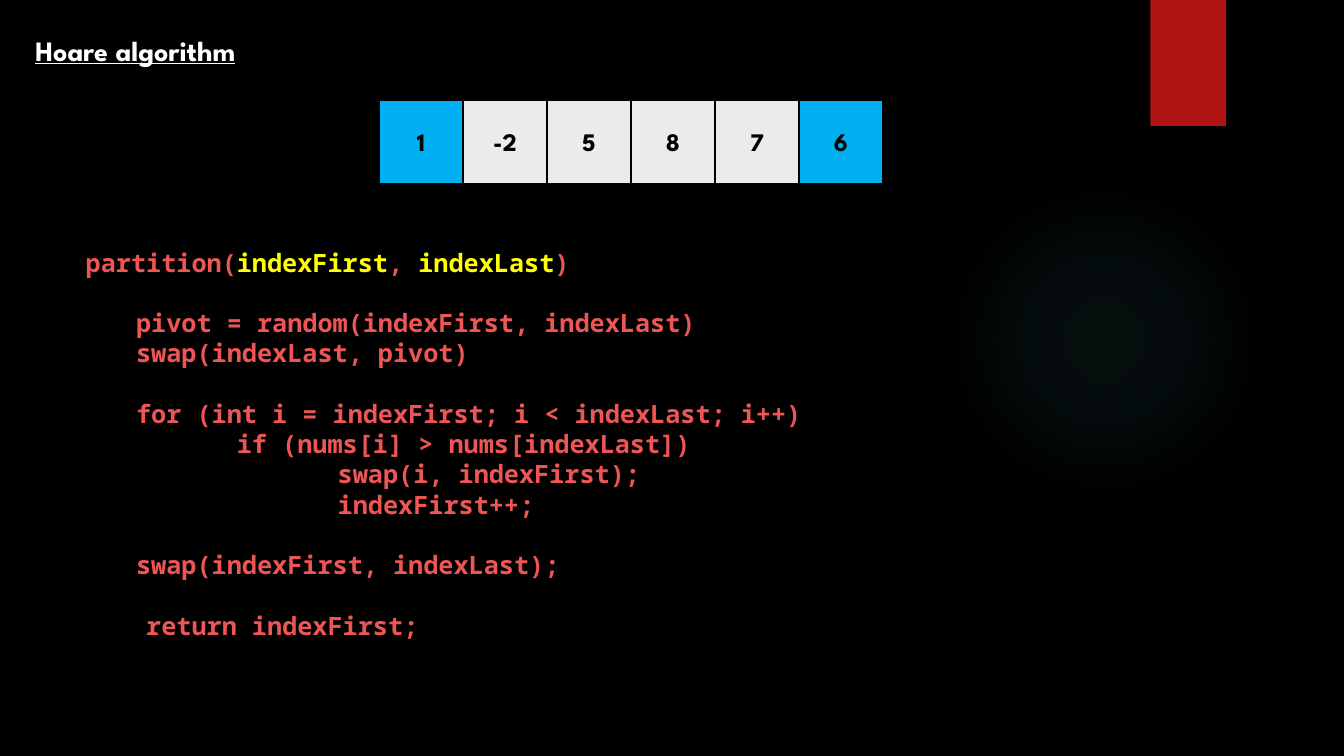
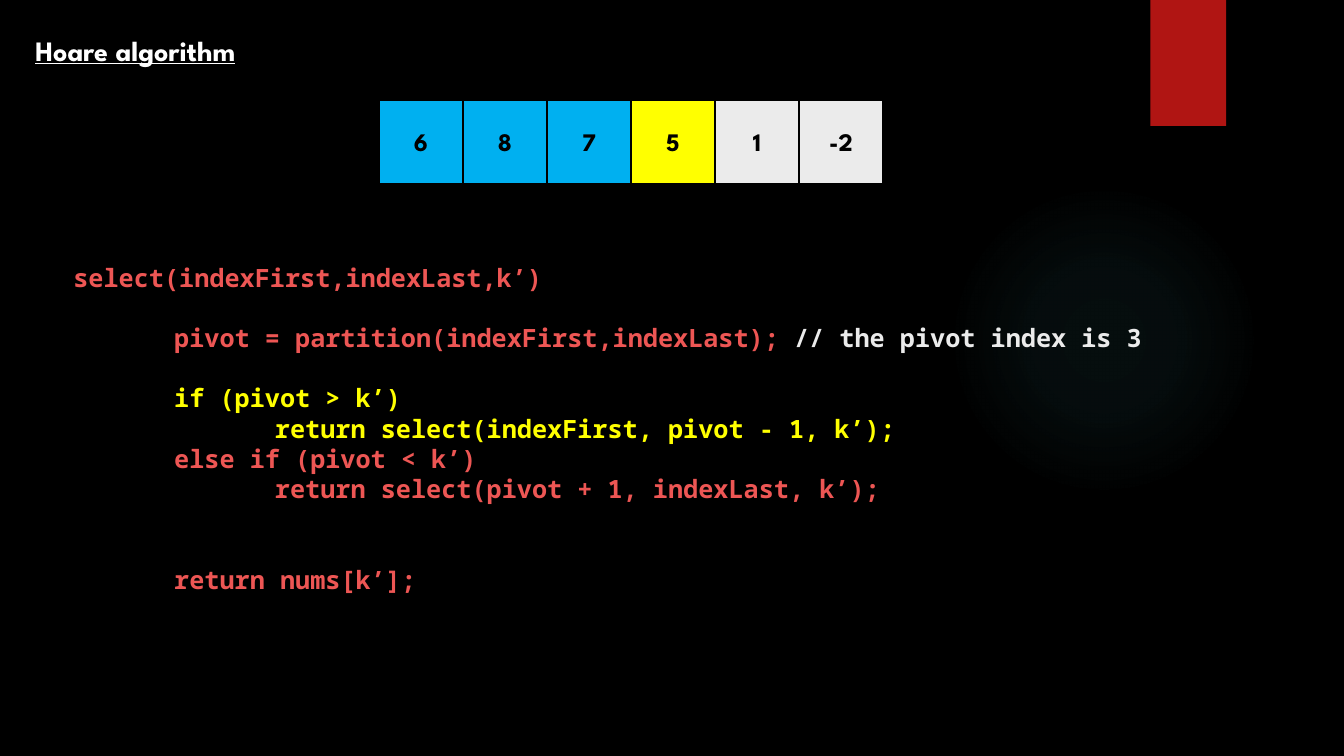
from dataclasses import dataclass

from pptx import Presentation
from pptx.dml.color import RGBColor
from pptx.enum.shapes import MSO_SHAPE
from pptx.enum.text import MSO_ANCHOR, MSO_AUTO_SIZE, PP_ALIGN
from pptx.oxml import parse_xml
from pptx.oxml.ns import nsdecls, qn
from pptx.util import Pt

RECTANGLE, OVAL = MSO_SHAPE.RECTANGLE, MSO_SHAPE.OVAL
LEFT, CENTER = PP_ALIGN.LEFT, PP_ALIGN.CENTER
TOP, MIDDLE = MSO_ANCHOR.TOP, MSO_ANCHOR.MIDDLE
NO_AUTOSIZE = MSO_AUTO_SIZE.NONE


@dataclass(frozen=True)
class Theme:
    black: str = "000000"
    white: str = "FFFFFF"
    light: str = "EBEBEB"
    blue: str = "00B0F0"
    yellow: str = "FFFF00"
    coral: str = "ED5654"
    ribbon: str = "B01513"
    glow: str = "50B9C1"
    display_font: str = "League Spartan"
    code_font: str = "Noto Sans Mono"
    title_size: int = 20
    text_size: int = 18
    code_line: float = 21.6


theme = Theme()

title_format = {"name": theme.display_font, "size": Pt(theme.title_size), "bold": True, "underline": True}
cell_format = {"name": theme.display_font, "size": Pt(theme.text_size), "bold": True}
code_format = {"name": theme.code_font, "size": Pt(theme.text_size), "bold": True}
title_frame = {"vertical_anchor": TOP, "auto_size": NO_AUTOSIZE, "word_wrap": True}
code_frame = title_frame
cell_frame = {"vertical_anchor": MIDDLE, "word_wrap": True}


def set_all(target, values):
    for attribute, value in values.items():
        setattr(target, attribute, value)


def add_run(paragraph, text, color, font_format):
    run = paragraph.add_run()
    run.text = text
    set_all(run.font, font_format)
    run.font.color.rgb = RGBColor.from_string(color)


coral, yellow, light, blue = theme.coral, theme.yellow, theme.light, theme.blue

steps = [
    {
        "array": [("1", blue), ("-2", light), ("5", light), ("8", light), ("7", light), ("6", blue)],
        "code_box": {"left": Pt(54), "top": Pt(172.8), "width": Pt(613.4), "height": Pt(312.5)},
        "code": [
            (0, 0, [("partition(", coral), ("indexFirst", yellow), (", ", coral),
                    ("indexLast", yellow), (")", coral)]),
            (36, 1, [("pivot = random(indexFirst, indexLast)", coral)]),
            (36, 0, [("swap(indexLast, pivot)", coral)]),
            (36, 1, [("for (int i = indexFirst; i < indexLast; i++)", coral)]),
            (108, 0, [("if (nums[i] > nums[indexLast])", coral)]),
            (180, 0, [("swap(i, indexFirst);", coral)]),
            (180, 0, [("indexFirst++;", coral)]),
            (36, 1, [("swap(indexFirst, indexLast);", coral)]),
            (43.2, 1, [("return indexFirst;", coral)]),
        ],
    },
    {
        "array": [("6", blue), ("8", blue), ("7", blue), ("5", yellow), ("1", light), ("-2", light)],
        "code_box": {"left": Pt(45.2), "top": Pt(183.4), "width": Pt(844.6), "height": Pt(269.3)},
        "code": [
            (0, 0, [("select(indexFirst,indexLast,k’)", coral)]),
            (72, 1, [("pivot = partition(indexFirst,indexLast); ", coral),
                     ("// the pivot index is 3", light)]),
            (72, 1, [("if (pivot > k’)", yellow)]),
            (144, 0, [("return select(indexFirst, pivot - 1, k’);", yellow)]),
            (72, 0, [("else if (pivot < k’)", coral)]),
            (144, 0, [("return select(pivot + 1, indexLast, k’);", coral)]),
            (72, 2, [("return nums[k’];", coral)]),
        ],
    },
]

presentation = Presentation()
presentation.slide_width, presentation.slide_height = Pt(960), Pt(540)
backdrop = presentation.slide_master.background.fill
backdrop.solid()
backdrop.fore_color.rgb = RGBColor.from_string(theme.black)

layout = presentation.slide_layouts[1]
set_all(layout.placeholders[0], {"left": Pt(18), "top": Pt(20.2), "width": Pt(172), "height": Pt(31.7)})
slides = [presentation.slides.add_slide(layout) for step in steps]

glow = slides[0].shapes.add_shape(OVAL, Pt(677.5), Pt(131.8), Pt(221.8), Pt(221.8))
ribbon = slides[0].shapes.add_shape(RECTANGLE, Pt(821.8), Pt(0), Pt(54), Pt(90))
for decoration in (glow, ribbon):
    decoration.shadow.inherit = False
    decoration.line.fill.background()
    layout.shapes.element.append(decoration.element)

glow.fill.background()
glow_stops = "".join(
    f'<a:gs pos="{position * 1000}"><a:srgbClr val="{theme.glow}">'
    f'<a:alpha val="{opacity * 1000}"/></a:srgbClr></a:gs>'
    for position, opacity in ((0, 7), (36, 6), (69, 0))
)
glow_properties = glow.element.spPr
glow_properties.replace(glow_properties.find(qn("a:noFill")), parse_xml(
    f'<a:gradFill {nsdecls("a")} rotWithShape="1"><a:gsLst>{glow_stops}</a:gsLst>'
    '<a:path path="circle"><a:fillToRect l="50000" t="50000" r="50000" b="50000"/></a:path></a:gradFill>'
))

ribbon.fill.solid()
ribbon.fill.fore_color.rgb = RGBColor.from_string(theme.ribbon)
ribbon.element.spPr.find(qn("a:effectLst")).append(parse_xml(
    f'<a:outerShdw {nsdecls("a")} blurRad="{Pt(3)}" dist="{Pt(2)}" dir="5400000" rotWithShape="0">'
    f'<a:srgbClr val="{theme.black}"><a:alpha val="45000"/></a:srgbClr></a:outerShdw>'
))

array_left, array_top, cell_side = 270.7, 71.3, 60

for slide, step in zip(slides, steps):
    heading = slide.shapes.title.text_frame
    set_all(heading, title_frame)
    heading.paragraphs[0].alignment = LEFT
    add_run(heading.paragraphs[0], "Hoare algorithm", theme.white, title_format)

    for index, (number, color) in enumerate(step["array"]):
        cell = slide.shapes.add_shape(
            RECTANGLE, Pt(array_left + index * cell_side), Pt(array_top), Pt(cell_side), Pt(cell_side))
        cell.shadow.inherit = False
        cell.fill.solid()
        cell.fill.fore_color.rgb = RGBColor.from_string(color)
        cell.line.color.rgb = RGBColor.from_string(theme.black)
        cell.line.width = Pt(1.5)
        set_all(cell.text_frame, cell_frame)
        cell.text_frame.paragraphs[0].alignment = CENTER
        add_run(cell.text_frame.paragraphs[0], number, theme.black, cell_format)

    code = slide.placeholders[1]
    set_all(code, step["code_box"])
    set_all(code.text_frame, code_frame)
    for number, (indent, gap_lines, parts) in enumerate(step["code"]):
        line = code.text_frame.add_paragraph() if number else code.text_frame.paragraphs[0]
        set_all(line, {"alignment": LEFT, "line_spacing": 1.0, "space_after": Pt(0),
                       "space_before": Pt(gap_lines * theme.code_line)})
        properties = line._p.get_or_add_pPr()
        properties.set("marL", str(Pt(indent)))
        properties.set("indent", "0")
        properties.append(parse_xml(f'<a:buNone {nsdecls("a")}/>'))
        for text, color in parts:
            add_run(line, text, color, code_format)

presentation.save("out.pptx")
